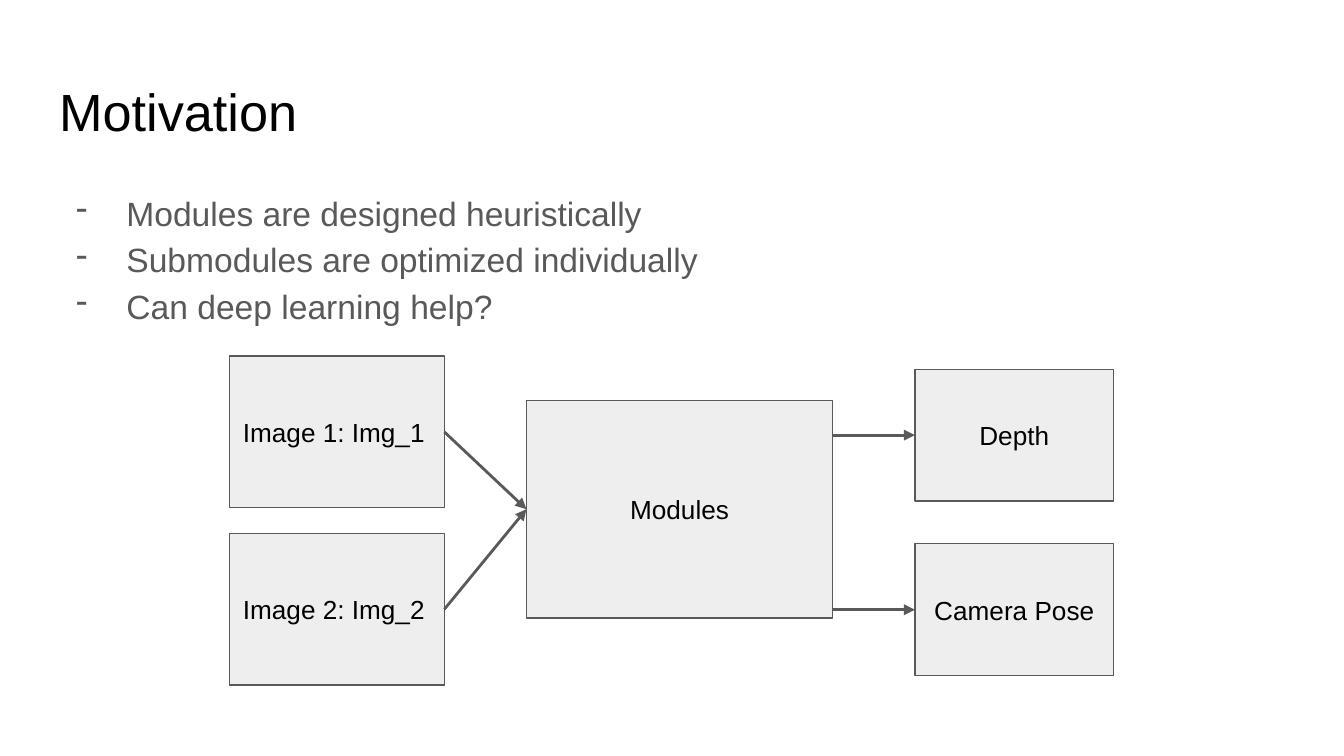
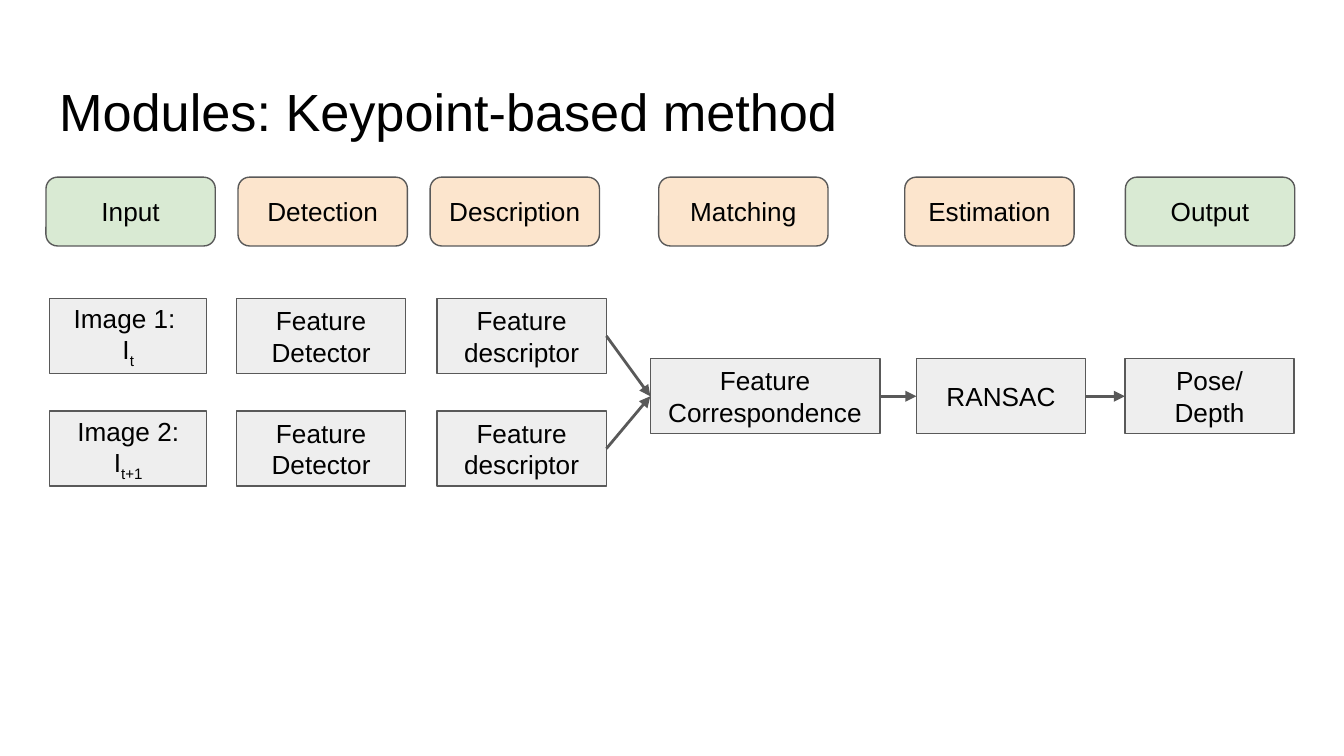
from lxml.etree import SubElement
from pptx import Presentation
from pptx.dml.color import RGBColor
from pptx.enum.shapes import MSO_CONNECTOR as Connector, MSO_SHAPE as Shape
from pptx.enum.text import MSO_ANCHOR as Anchor, PP_ALIGN as Align
from pptx.oxml.ns import qn
from pptx.util import Cm, Pt

BLACK = RGBColor(0x00, 0x00, 0x00)
WHITE = RGBColor(0xFF, 0xFF, 0xFF)
DARK_GREY = RGBColor(0x59, 0x59, 0x59)
LIGHT_GREY = RGBColor(0xEE, 0xEE, 0xEE)
GREEN = RGBColor(0xD9, 0xEA, 0xD3)
ORANGE = RGBColor(0xFC, 0xE5, 0xCD)
FONT = "Arial"
INSET = Cm(0.25)
LEFT_SITE, RIGHT_SITE = 1, 3


def prepare_frame(frame, anchor):
    frame.word_wrap = True
    frame.vertical_anchor = anchor
    frame.margin_left = frame.margin_right = INSET
    frame.margin_top = frame.margin_bottom = INSET


def add_run(paragraph, text, size, color=BLACK, baseline=0):
    run = paragraph.add_run()
    run.text = text
    run.font.name = FONT
    run.font.size = Pt(size)
    run.font.color.rgb = color
    if baseline:
        run._r.get_or_add_rPr().set("baseline", str(baseline * 1000))


def add_paragraph(frame, index):
    return frame.add_paragraph() if index else frame.paragraphs[0]


def add_node(shapes, box, label, fill=LIGHT_GREY, kind=Shape.RECTANGLE, align=Align.CENTER):
    node = shapes.add_shape(kind, *map(Cm, box))
    node.shadow.inherit = False
    node.fill.solid()
    node.fill.fore_color.rgb = fill
    node.line.color.rgb = DARK_GREY
    node.line.width = Pt(0.75)
    prepare_frame(node.text_frame, Anchor.MIDDLE)
    lines = [[(label, 0)]] if isinstance(label, str) else label
    for index, line in enumerate(lines):
        paragraph = add_paragraph(node.text_frame, index)
        paragraph.alignment = align
        for text, baseline in line:
            add_run(paragraph, text, 14, baseline=baseline)
    return node


def add_arrow(shapes, source, target, level=False):
    start_x = source.left + source.width
    end_y = target.top + target.height // 2
    arrow = shapes.add_connector(Connector.STRAIGHT, start_x, end_y, target.left, end_y)
    if not level:
        arrow.begin_connect(source, RIGHT_SITE)
    arrow.end_connect(target, LEFT_SITE)
    arrow.line.color.rgb = DARK_GREY
    arrow.line.width = Pt(1.5)
    SubElement(arrow.line._get_or_add_ln(), qn("a:tailEnd"), type="triangle")
    SubElement(arrow._element.spPr, qn("a:effectLst"))


def add_title_slide(deck, title):
    slide = deck.slides.add_slide(deck.slide_layouts[6])
    slide.background.fill.solid()
    slide.background.fill.fore_color.rgb = WHITE
    heading = slide.shapes.add_textbox(Cm(0.87), Cm(1.24), Cm(23.67), Cm(1.6))
    prepare_frame(heading.text_frame, Anchor.TOP)
    add_run(heading.text_frame.paragraphs[0], title, 28)
    return slide


def add_bullets(slide, box, points):
    body = slide.shapes.add_textbox(*map(Cm, box))
    prepare_frame(body.text_frame, Anchor.TOP)
    for index, point in enumerate(points):
        paragraph = add_paragraph(body.text_frame, index)
        paragraph.line_spacing = 1.15
        properties = paragraph._p.get_or_add_pPr()
        properties.set("marL", str(Cm(1.27)))
        properties.set("indent", str(-Cm(0.95)))
        bullet_color = SubElement(properties, qn("a:buClr"))
        SubElement(bullet_color, qn("a:srgbClr"), val=str(DARK_GREY))
        SubElement(properties, qn("a:buChar"), char="-")
        add_run(paragraph, point, 18, DARK_GREY)


def add_overview(slide, left, top):
    shapes = slide.shapes
    images = [
        add_node(shapes, (left, top + row * 3.35, 4.06, 2.87), label, align=Align.LEFT)
        for row, label in enumerate(("Image 1: Img_1", "Image 2: Img_2"))
    ]
    modules = add_node(shapes, (left + 5.61, top + 0.84, 5.79, 4.11), "Modules")
    for image in images:
        add_arrow(shapes, image, modules)
    for row, label in enumerate(("Depth", "Camera Pose")):
        output = add_node(shapes, (left + 12.95, top + 0.25 + row * 3.3, 3.76, 2.49), label)
        add_arrow(shapes, modules, output, level=True)


def add_stages(slide, left, top):
    shapes = slide.shapes.add_group_shape().shapes
    stages = (
        (0, "Input", GREEN),
        (3.63, "Detection", ORANGE),
        (7.26, "Description", ORANGE),
        (11.58, "Matching", ORANGE),
        (16.23, "Estimation", ORANGE),
        (20.4, "Output", GREEN),
    )
    for offset, label, fill in stages:
        add_node(shapes, (left + offset, top, 3.2, 1.3), label, fill, Shape.ROUNDED_RECTANGLE)


def add_pipeline(slide, left, top):
    shapes = slide.shapes.add_group_shape().shapes
    height = 1.42
    lane_step = 2.13
    image_labels = (
        [[("Image 1: ", 0)], [("I", 0), ("t", -25)]],
        [[("Image 2: I", 0), ("t+1", -25)]],
    )
    descriptors = []
    for lane, image_label in enumerate(image_labels):
        lane_top = top + lane * lane_step
        add_node(shapes, (left, lane_top, 2.97, height), image_label)
        add_node(shapes, (left + 3.53, lane_top, 3.2, height), "Feature Detector")
        descriptors.append(
            add_node(shapes, (left + 7.32, lane_top, 3.2, height), "Feature descriptor")
        )
    correspondence, ransac, result = [
        add_node(shapes, (left + offset, top + 1.14, width, height), label)
        for offset, width, label in (
            (11.35, 4.34, "Feature Correspondence"),
            (16.38, 3.2, "RANSAC"),
            (20.32, 3.2, "Pose/ Depth"),
        )
    ]
    for descriptor in descriptors:
        add_arrow(shapes, descriptor, correspondence)
    add_arrow(shapes, correspondence, ransac)
    add_arrow(shapes, ransac, result)


def build_motivation(deck):
    slide = add_title_slide(deck, "Motivation")
    points = (
        "Modules are designed heuristically",
        "Submodules are optimized individually",
        "Can deep learning help?",
    )
    add_bullets(slide, (0.87, 3.28, 23.67, 9.5), points)
    add_overview(slide, 4.34, 6.73)


def build_keypoint_method(deck):
    slide = add_title_slide(deck, "Modules: Keypoint-based method")
    add_stages(slide, 0.87, 3.35)
    add_pipeline(slide, 0.94, 5.64)


def main():
    deck = Presentation()
    deck.slide_width = Cm(25.4)
    deck.slide_height = Cm(14.29)
    build_motivation(deck)
    build_keypoint_method(deck)
    deck.save("out.pptx")


if __name__ == "__main__":
    main()
